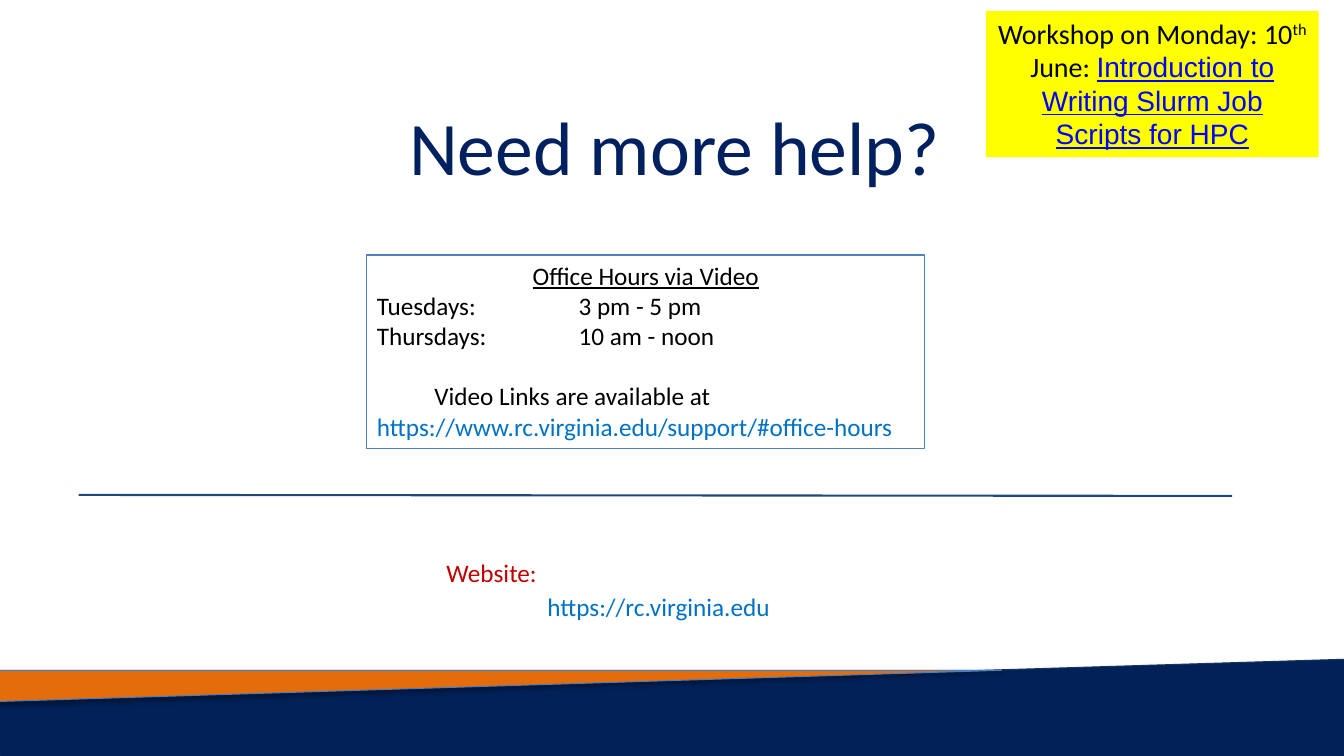
from lxml import etree
from pptx import Presentation
from pptx.dml.color import RGBColor
from pptx.enum.shapes import MSO_CONNECTOR, MSO_SHAPE
from pptx.enum.text import MSO_ANCHOR, PP_ALIGN
from pptx.oxml.ns import qn
from pptx.util import Inches, Pt

CENTER, LEFT = PP_ALIGN.CENTER, PP_ALIGN.LEFT
COLORS = {
    "navy": "012158", "navy edge": "17375E", "orange": "E46C0B",
    "orange edge": "4B7EBC", "divider": "1F497D", "title": "002060",
    "box edge": "4F81BD", "text": "000000", "url": "0072C6",
    "label": "C00000", "yellow": "FFFF00", "link": "0000FF",
}


def color(name):
    return RGBColor.from_string(COLORS[name])


def add_text(paragraph, size, *parts):
    """Add (text, colour name) runs in Calibri and return them."""
    paragraph.font.name = "Calibri"
    paragraph.font.size = Pt(size)
    runs = []
    for text, color_name in parts:
        run = paragraph.add_run()
        run.text = text
        run.font.color.rgb = color(color_name)
        runs.append(run)
    return runs


presentation = Presentation()
presentation.slide_width, presentation.slide_height = Inches(13.33), Inches(7.5)
slide = presentation.slides.add_slide(presentation.slide_layouts[6])
shapes = slide.shapes

# Footer bands
builder = shapes.build_freeform(Inches(-0.02), Inches(6.95))
builder.add_line_segments(
    [(Inches(x), Inches(y)) for x, y in [(13.34, 6.54), (13.35, 7.56), (0, 7.53)]])
navy_band = builder.convert_to_shape()
orange_band = shapes.add_shape(
    MSO_SHAPE.RIGHT_TRIANGLE, Inches(-0.02), Inches(6.65), Inches(9.95), Inches(0.31))
orange_band._element.spPr.find(qn("a:xfrm")).set("flipV", "1")

for band, name in [(navy_band, "navy"), (orange_band, "orange")]:
    band.fill.solid()
    band.fill.fore_color.rgb = color(name)
    band.line.color.rgb = color(f"{name} edge")
    band.line.width = Pt(0.75)
    band.shadow.inherit = False
    effects = band._element.spPr.find(qn("a:effectLst"))
    shadow = etree.SubElement(
        effects, qn("a:outerShdw"), blurRad=str(Pt(3.1)), dist=str(Pt(1.8)),
        dir="5400000", rotWithShape="0")
    shadow_color = etree.SubElement(shadow, qn("a:srgbClr"), val="000000")
    etree.SubElement(shadow_color, qn("a:alpha"), val="35000")

# Divider
divider = shapes.add_connector(
    MSO_CONNECTOR.STRAIGHT, Inches(0.78), Inches(4.91), Inches(12.22), Inches(4.92))
divider.line.color.rgb = color("divider")
divider.line.width = Pt(1.5)
etree.SubElement(divider._element.spPr, qn("a:effectLst"))

# Title
title = shapes.add_textbox(Inches(2.4), Inches(0.94), Inches(8.58), Inches(1.31))
title.text_frame.word_wrap = True
paragraph = title.text_frame.paragraphs[0]
paragraph.alignment = CENTER
add_text(paragraph, 54, ("Need more help?", "title"))

# Office hours and workshop boxes
office_box = shapes.add_shape(
    MSO_SHAPE.RECTANGLE, Inches(3.64), Inches(2.53), Inches(5.53), Inches(1.92))
office_box.fill.background()
office_box.line.color.rgb = color("box edge")
office_box.line.width = Pt(0.75)
workshop_box = shapes.add_shape(
    MSO_SHAPE.RECTANGLE, Inches(9.78), Inches(0.11), Inches(3.3), Inches(1.45))
workshop_box.fill.solid()
workshop_box.fill.fore_color.rgb = color("yellow")
workshop_box.line.fill.background()
for box in (office_box, workshop_box):
    box.shadow.inherit = False
    box.text_frame.word_wrap = True
    box.text_frame.vertical_anchor = MSO_ANCHOR.TOP

office_frame = office_box.text_frame
paragraph = office_frame.paragraphs[0]
paragraph.alignment = CENTER
add_text(paragraph, 18, ("Office Hours via Video", "text"))
paragraph.font.underline = True

for day, hours in [("Tuesdays:", "3 pm - 5 pm"), ("Thursdays:", "10 am - noon")]:
    paragraph = office_frame.add_paragraph()
    paragraph.alignment = LEFT
    tabs = etree.SubElement(paragraph._p.get_or_add_pPr(), qn("a:tabLst"))
    etree.SubElement(tabs, qn("a:tab"), pos=str(Inches(2)), algn="l")
    add_text(paragraph, 18, (f"{day}\t{hours}", "text"))

paragraph = office_frame.add_paragraph()
paragraph.alignment = LEFT
paragraph.space_before = Pt(21.5)
paragraph._p.get_or_add_pPr().set("indent", str(Inches(0.57)))
add_text(paragraph, 18, ("Video Links are available at ", "text"),
         ("https://www.rc.virginia.edu/support/#office-hours", "url"))

paragraph = workshop_box.text_frame.paragraphs[0]
paragraph.alignment = CENTER
workshop_runs = add_text(
    paragraph, 20, ("Workshop on Monday: 10", "text"), ("th", "text"), (" June: ", "text"),
    ("Introduction to Writing Slurm Job Scripts for HPC", "link"))
workshop_runs[1]._r.get_or_add_rPr().set("baseline", "30000")
workshop_runs[3].font.name = "Arial"
workshop_runs[3].font.underline = True

# Website
website = shapes.add_textbox(Inches(3.95), Inches(5.51), Inches(5.82), Inches(0.8))
website.text_frame.word_wrap = True
label = website.text_frame.paragraphs[0]
address = website.text_frame.add_paragraph()
address.space_before = Pt(5)
for paragraph, text, color_name, margin in [
        (label, "Website:", "label", 0.38),
        (address, "https://rc.virginia.edu", "url", 1.38)]:
    paragraph.line_spacing = 0.9
    paragraph._p.get_or_add_pPr().set("marL", str(Inches(margin)))
    add_text(paragraph, 18, (text, color_name))

presentation.save("out.pptx")
